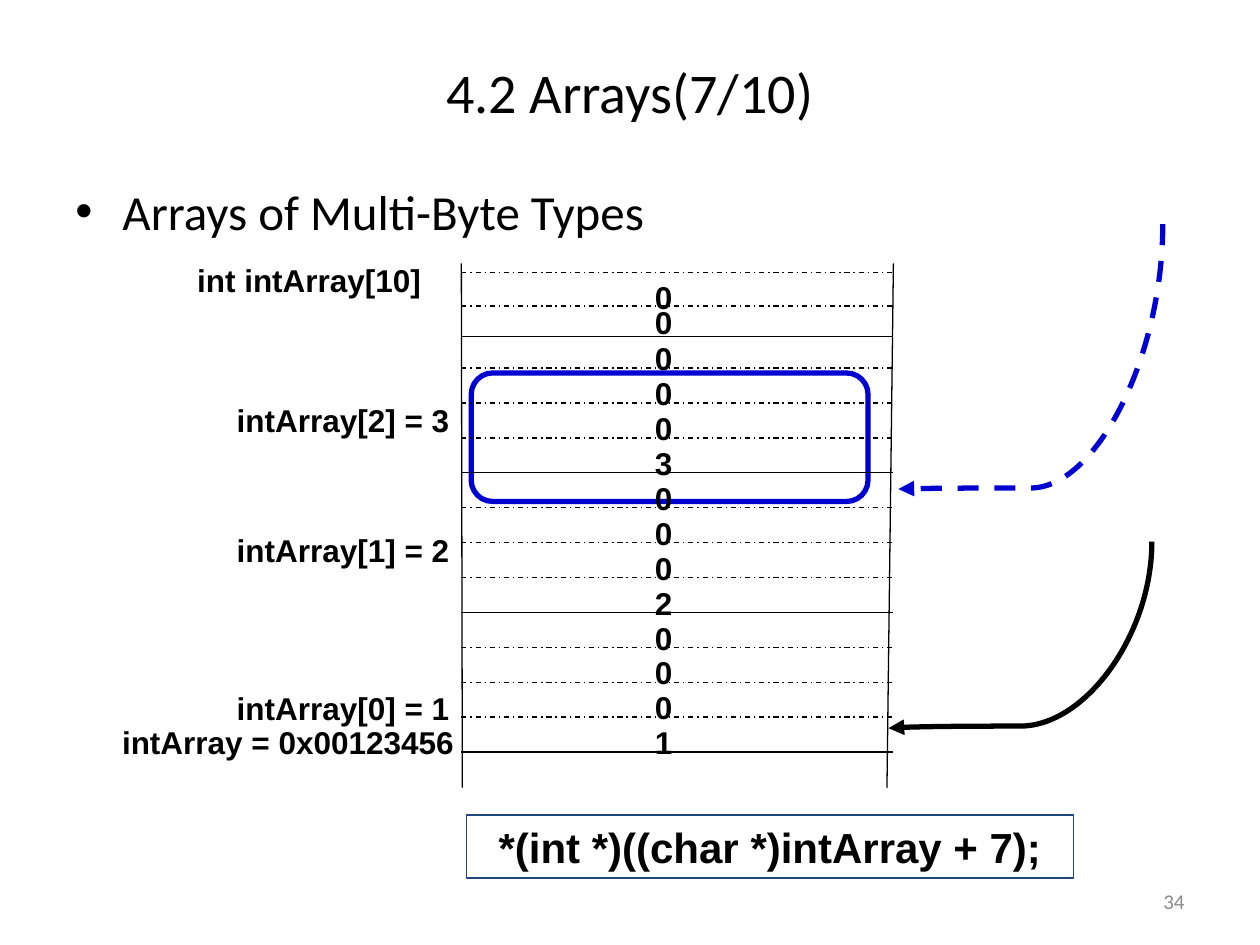
from dataclasses import dataclass

from pptx import Presentation
from pptx.dml.color import RGBColor
from pptx.enum.dml import MSO_LINE as Dash
from pptx.enum.shapes import MSO_CONNECTOR as Connector, MSO_SHAPE as Shape
from pptx.enum.text import MSO_ANCHOR as Anchor, PP_ALIGN as Align
from pptx.oxml import parse_xml
from pptx.oxml.ns import nsdecls, qn
from pptx.util import Cm, Pt


@dataclass(frozen=True)
class Theme:
    black = RGBColor(0x00, 0x00, 0x00)
    blue = RGBColor(0x00, 0x00, 0xD0)
    frame = RGBColor(0x1F, 0x49, 0x7D)
    grey = RGBColor(0x89, 0x89, 0x89)
    heading_font = "Calibri"
    label_font = "Arial"
    title_size = Pt(32)
    body_size = Pt(28)
    code_size = Pt(24)
    label_size = Pt(18)
    number_size = Pt(12)
    thin = Pt(0.75)
    thick = Pt(3)


theme = Theme()
presentation = Presentation()
presentation.slide_width, presentation.slide_height = Cm(25.4), Cm(19.05)
slide = presentation.slides.add_slide(presentation.slide_layouts[6])


def add_text(text, left, top, width, height=1.02, *, size=theme.label_size,
             font=theme.label_font, bold=True, color=theme.black,
             align=Align.LEFT, anchor=Anchor.TOP):
    box = slide.shapes.add_textbox(Cm(left), Cm(top), Cm(width), Cm(height))
    frame = box.text_frame
    frame.word_wrap = True
    frame.vertical_anchor = anchor
    paragraph = frame.paragraphs[0]
    paragraph.alignment = align
    run = paragraph.add_run()
    run.text = text
    run.font.size, run.font.name, run.font.bold = size, font, bold
    run.font.color.rgb = color
    return box


def add_line(kind, x1, y1, x2, y2, *, color=theme.black, width=theme.thin, dash=None):
    line = slide.shapes.add_connector(kind, Cm(x1), Cm(y1), Cm(x2), Cm(y2))
    line.line.color.rgb = color
    line.line.width = width
    if dash is not None:
        line.line.dash_style = dash
    line._element.spPr.append(parse_xml(f"<a:effectLst {nsdecls('a')}/>"))
    return line


# Slide number, title and bullet
add_text("34", 18.2, 17.66, 5.93, size=theme.number_size, font=theme.heading_font,
         bold=False, color=theme.grey, align=Align.RIGHT, anchor=Anchor.MIDDLE)
add_text("4.2 Arrays(7/10)", 0, 0.76, 25.4, 2.16, size=theme.title_size,
         font=theme.heading_font, bold=False, align=Align.CENTER, anchor=Anchor.MIDDLE)
body = add_text("Arrays of Multi-Byte Types", 1.27, 3.53, 22.86, 13.49,
                size=theme.body_size, font=theme.heading_font, bold=False)
properties = body.text_frame.paragraphs[0]._p.get_or_add_pPr()
properties.set("marL", str(Cm(0.95)))
properties.set("indent", str(-Cm(0.95)))
properties.append(parse_xml(f'<a:buFont {nsdecls("a")} typeface="Arial"/>'))
properties.append(parse_xml(f'<a:buChar {nsdecls("a")} char="•"/>'))

# Curved pointers: a quarter turn makes each one leave downwards
pointers = [
    (23.22, 10.92, 17.91, 14.68, 98900, theme.black, None),
    (23.44, 4.52, 18.11, 9.86, 99600, theme.blue, Dash.DASH),
]
for x1, y1, x2, y2, bend, color, dash in pointers:
    center_x, center_y = (x1 + x2) / 2, (y1 + y2) / 2
    half_width, half_height = (y2 - y1) / 2, (x1 - x2) / 2
    pointer = add_line(Connector.CURVE, center_x - half_width, center_y - half_height,
                       center_x + half_width, center_y + half_height,
                       color=color, width=theme.thick, dash=dash)
    properties = pointer._element.spPr
    properties.find(qn("a:xfrm")).set("rot", str(90 * 60000))
    geometry = properties.find(qn("a:prstGeom"))
    for old in geometry.findall(qn("a:avLst")):
        geometry.remove(old)
    geometry.append(parse_xml(
        f'<a:avLst {nsdecls("a")}><a:gd name="adj1" fmla="val {bend}"/></a:avLst>'))
    properties.find(qn("a:ln")).append(
        parse_xml(f'<a:tailEnd {nsdecls("a")} type="triangle"/>'))

# Highlighted bytes
highlight = slide.shapes.add_shape(Shape.FLOWCHART_ALTERNATE_PROCESS,
                                   Cm(9.5), Cm(7.52), Cm(8), Cm(2.59))
highlight.shadow.inherit = False
highlight.fill.background()
highlight.line.color.rgb = theme.blue
highlight.line.width = theme.thick

# Memory column: sides, then byte borders with a solid one at each int
left, right = 9.3, 18.01
add_line(Connector.STRAIGHT, left, 5.31, 9.32, 15.88)
add_line(Connector.STRAIGHT, right, 5.31, 17.88, 15.88)
first_row, last_row = 7.42, 15.16
rows = [first_row + i * (last_row - first_row) / 11 for i in range(12)]
borders = [5.49, 6.17, 6.78] + rows
for i, y in enumerate(borders):
    add_line(Connector.STRAIGHT, left, y, right, y,
             width=Pt(1) if y == borders[-1] else theme.thin,
             dash=None if i % 4 == 2 else Dash.DASH_DOT)

# Byte values
for value, y in zip("00000300020001", [5.49, 5.99, 6.71] + rows):
    add_text(value, 12.95, y, 1.12)

# Element labels: text, right edge, top
labels = [
    ("int intArray[10]", 8.74, 5.13),
    ("intArray[2] = 3", 9.31, 7.95),
    ("intArray[1] = 2", 9.31, 10.59),
    ("intArray[0] = 1", 9.31, 13.77),
    ("intArray = 0x00123456", 9.4, 14.45),
]
label_width = 8.13
for text, edge, y in labels:
    add_text(text, edge - label_width, y, label_width, align=Align.RIGHT)

# Expression
expression = add_text("*(int *)((char *)intArray + 7);", 9.4, 16.43, 12.24, 1.27,
                      size=theme.code_size, align=Align.CENTER)
expression.line.color.rgb = theme.frame
expression.line.width = theme.thin

presentation.save("out.pptx")
